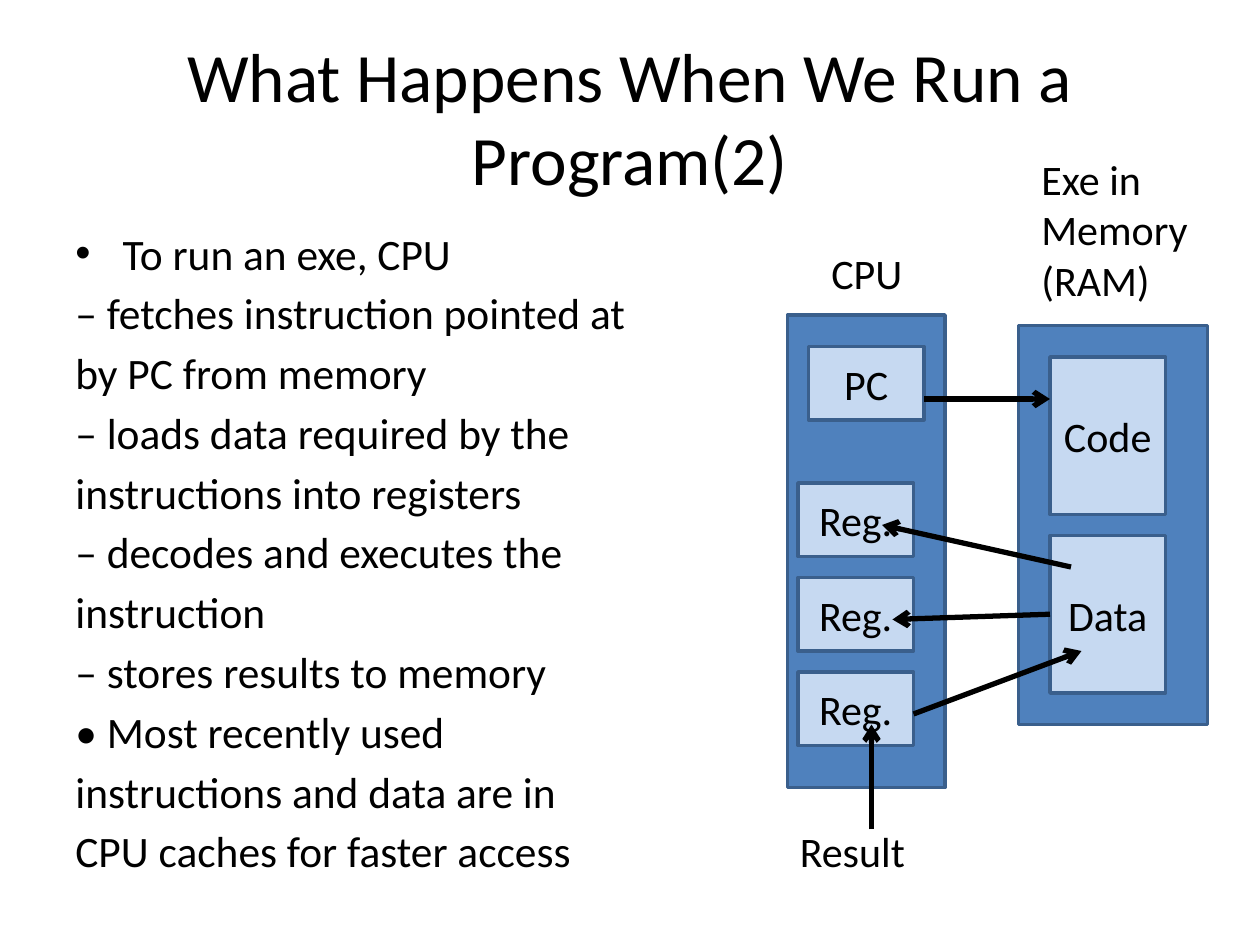
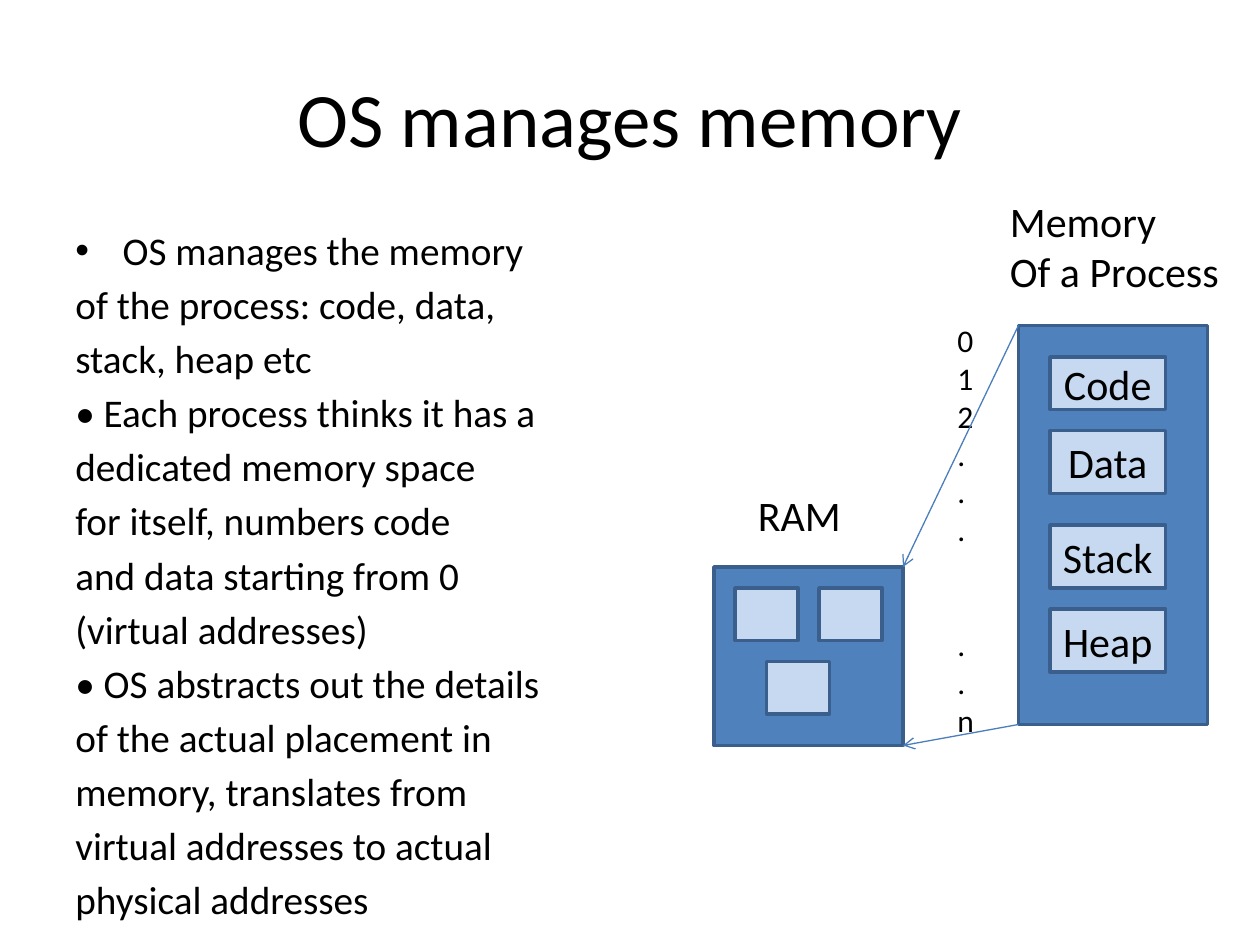
from lxml import etree
from pptx import Presentation
from pptx import util as u
from pptx.dml import color
from pptx.enum import shapes, text
from pptx.oxml import ns

Pt = u.Pt
COLOURS = {
    "ink": "000000",
    "block": "4F81BD",
    "cell": "C6D9F1",
    "edge": "3A5F8C",
    "thin": "4B7EBC",
}
FONT = "Calibri"
TITLE_ONLY = 5


def rgb(name):
    return color.RGBColor.from_string(COLOURS[name])


def assign(target, values):
    for key, value in values.items():
        setattr(target, key, value)


def add_xml(parent, tag, **attributes):
    return etree.SubElement(parent, ns.qn(tag), attributes)


class Painter:
    """Holds the deck style and the page being drawn."""

    def __init__(self):
        self.deck = Presentation()
        self.deck.slide_width, self.deck.slide_height = Pt(720), Pt(540)
        self.page = None

    def fill_text(self, frame, lines, size, align, **para_format):
        for index, line in enumerate(lines):
            para = frame.paragraphs[0] if index == 0 else frame.add_paragraph()
            assign(para, {"alignment": align, **para_format})
            span = para.add_run()
            span.text = line
            assign(span.font, {"name": FONT, "size": Pt(size)})
            span.font.color.rgb = rgb("ink")
        return frame.paragraphs

    def start(self, title, size):
        self.page = self.deck.slides.add_slide(self.deck.slide_layouts[TITLE_ONLY])
        holder = self.page.shapes.title
        assign(holder, {"left": Pt(36), "top": Pt(21.6),
                        "width": Pt(648), "height": Pt(90)})
        holder.text_frame.vertical_anchor = text.MSO_ANCHOR.MIDDLE
        self.fill_text(holder.text_frame, [title], size, text.PP_ALIGN.CENTER)

    def body(self, lines, size, gap):
        box = self.page.shapes.add_textbox(Pt(36), Pt(126), Pt(648), Pt(356.4))
        box.text_frame.word_wrap = True
        paras = self.fill_text(box.text_frame, lines, size, text.PP_ALIGN.LEFT,
                               space_before=Pt(gap))
        for para in paras:
            properties = para._p.get_or_add_pPr()
            properties.set("marL", str(Pt(27)))
            properties.set("indent", str(-Pt(27)))
        # Only the opening line carries an automatic bullet
        properties = paras[0]._p.get_or_add_pPr()
        add_xml(properties, "a:buFont", typeface="Arial")
        add_xml(properties, "a:buChar", char="•")

    def label(self, lines, left, top, width, height, size=24):
        box = self.page.shapes.add_textbox(Pt(left), Pt(top), Pt(width), Pt(height))
        box.text_frame.word_wrap = False
        return self.fill_text(box.text_frame, lines, size, text.PP_ALIGN.LEFT)

    def block(self, left, top, width, height, fill="block", caption=None):
        box = self.page.shapes.add_shape(
            shapes.MSO_SHAPE.RECTANGLE, Pt(left), Pt(top), Pt(width), Pt(height))
        box.shadow.inherit = False
        box.fill.solid()
        box.fill.fore_color.rgb = rgb(fill)
        box.line.color.rgb = rgb("edge")
        box.line.width = Pt(2)
        if caption:
            assign(box.text_frame, {
                "margin_left": 0, "margin_right": 0, "word_wrap": False,
                "vertical_anchor": text.MSO_ANCHOR.MIDDLE})
            self.fill_text(box.text_frame, [caption], 24, text.PP_ALIGN.CENTER)

    def cell(self, left, top, height, caption=None, width=66):
        self.block(left, top, width, height, "cell", caption)

    def arrow(self, start, end, colour="ink", weight=3):
        link = self.page.shapes.add_connector(
            shapes.MSO_CONNECTOR.STRAIGHT, *(Pt(v) for v in (*start, *end)))
        link.line.color.rgb = rgb(colour)
        link.line.width = Pt(weight)
        add_xml(link.line._get_or_add_ln(), "a:tailEnd", type="arrow")
        add_xml(link._element.spPr, "a:effectLst")

    def process_memory(self, cells):
        self.block(582, 186, 108, 228)
        for caption, top, height in cells:
            self.cell(600, top, height, caption)


def run_program_page(painter):
    painter.start("What Happens When We Run a Program(2)", 39.6)
    painter.body([
        "To run an exe, CPU",
        "– fetches instruction pointed at",
        "by PC from memory",
        "– loads data required by the",
        "instructions into registers",
        "– decodes and executes the",
        "instruction",
        "– stores results to memory",
        "• Most recently used",
        "instructions and data are in",
        "CPU caches for faster access",
    ], 24.8, 4.4)

    # Memory and CPU
    painter.process_memory([("Code", 204, 90), ("Data", 306, 90)])
    painter.block(450, 180, 90, 270)
    painter.cell(462, 198, 42, "PC")
    for row in range(3):
        painter.cell(456, 276 + 54 * row, 42, "Reg.")

    # Labels
    painter.label(["Result"], 450, 468, 75, 36)
    painter.label(["CPU"], 468, 138, 55.4, 36)
    painter.label(["Exe in", "Memory", "(RAM)"], 588, 84, 98.6, 94.3)

    # Data flow
    for start, end in [
        ((528, 228), (600, 228)),
        ((612, 324), (504, 300)),
        ((600, 351), (510, 354)),
        ((522, 408), (618, 372)),
        ((498, 474), (498, 414)),
    ]:
        painter.arrow(start, end)


def manage_memory_page(painter):
    painter.start("OS manages memory", 44)
    painter.body([
        "OS manages the memory",
        "of the process: code, data,",
        "stack, heap etc",
        "• Each process thinks it has a",
        "dedicated memory space",
        "for itself, numbers code",
        "and data starting from 0",
        "(virtual addresses)",
        "• OS abstracts out the details",
        "of the actual placement in",
        "memory, translates from",
        "virtual addresses to actual",
        "physical addresses",
    ], 22.4, 4)

    # Process memory with its virtual addresses
    painter.process_memory([("Code", 204, 30), ("Data", 246, 36),
                            ("Stack", 300, 36), ("Heap", 348, 36)])
    painter.label(["Memory", "Of a Process"], 570, 108, 135.4, 65.5)
    addresses = painter.label([*"012.....n"], 540, 180, 24.5, 247, size=18)
    addresses[6].space_before = Pt(44)

    # Physical memory
    painter.block(408, 324, 108, 102)
    painter.label(["RAM"], 426, 276, 62.6, 36)
    for left, top in [(420, 336), (468, 336), (438, 378)]:
        painter.cell(left, top, 30, width=36)

    # Mapping from process memory to RAM
    for start_y, end_y in [(186, 324), (414, 426)]:
        painter.arrow((582, start_y), (516, end_y), "thin", 0.75)


def main():
    painter = Painter()
    run_program_page(painter)
    manage_memory_page(painter)
    painter.deck.save("out.pptx")


if __name__ == "__main__":
    main()
